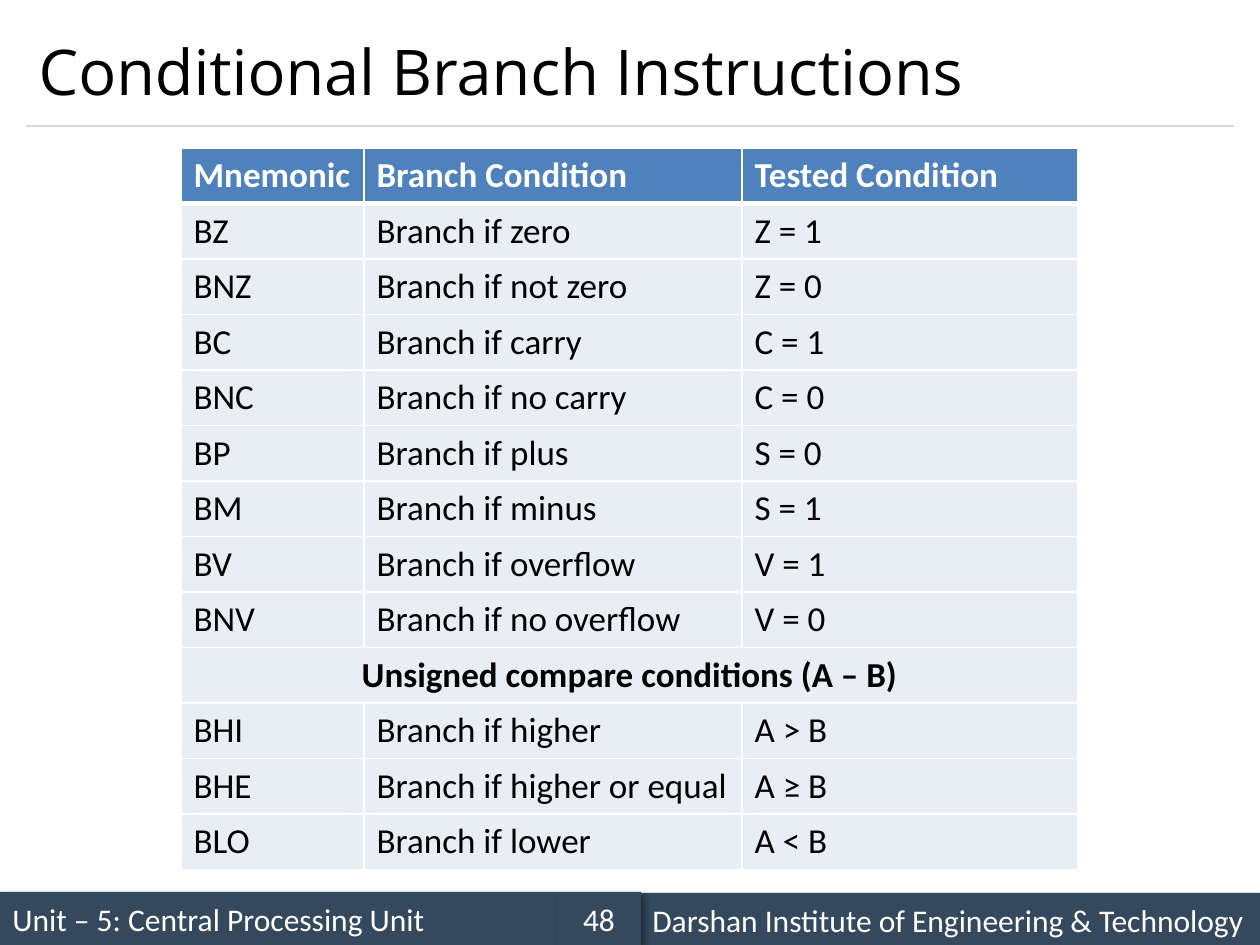
from lxml.etree import SubElement
from pptx import Presentation
from pptx.dml.color import RGBColor
from pptx.enum.shapes import MSO_CONNECTOR, MSO_SHAPE
from pptx.enum.text import MSO_ANCHOR, PP_ALIGN
from pptx.oxml import parse_xml
from pptx.oxml.ns import nsdecls, qn
from pptx.util import Emu, Pt

SCALE = 914400 / 126  # EMU per px


def px(n):
    return Emu(round(n * SCALE))


def style(p, size, color, font="Calibri", bold=False, align=PP_ALIGN.LEFT):
    p.alignment = align
    values = {"size": Pt(size), "name": font, "bold": bold}
    for r in p.runs:
        for name, value in values.items():
            setattr(r.font, name, value)
        r.font.color.rgb = RGBColor.from_string(color)


prs = Presentation()
prs.slide_width, prs.slide_height = px(1260), px(945)
s = prs.slides.add_slide(prs.slide_layouts[5])

# Title
title = s.shapes.title
title.left, title.top, title.width, title.height = px(26), px(15), px(1208), px(111)
tf = title.text_frame
tf.text = "Conditional Branch Instructions"
tf.vertical_anchor = MSO_ANCHOR.MIDDLE
style(tf.paragraphs[0], 36, "000000", "Open Sans")

# Rule under the title
rule = s.shapes.add_connector(MSO_CONNECTOR.STRAIGHT, px(26), px(126), px(1234), px(126))
rule.line.color.rgb = RGBColor.from_string("D9D9D9")
rule.line.width = Pt(0.75)
SubElement(rule._element.spPr, qn("a:effectLst"))

# Footer bars
SHADOW = (
    f'<a:effectLst {nsdecls("a")}><a:outerShdw blurRad="50800" dist="38100" dir="2700000"'
    ' algn="tl" rotWithShape="0"><a:srgbClr val="000000"><a:alpha val="40000"/></a:srgbClr>'
    "</a:outerShdw></a:effectLst>"
)
footer = [
    (0, 892, 557, "Unit – 5: Central Processing Unit", PP_ALIGN.LEFT),
    (640, 893, 620, "Darshan Institute of Engineering & Technology", PP_ALIGN.LEFT),
    (557, 892, 84, "48", PP_ALIGN.CENTER),
]
for left, top, width, text, align in footer:
    sp = s.shapes.add_shape(MSO_SHAPE.RECTANGLE, px(left), px(top), px(width), px(53))
    sp.fill.solid()
    sp.fill.fore_color.rgb = RGBColor.from_string("34495E")
    sp.line.fill.background()
    sp._element.spPr.append(parse_xml(SHADOW))
    tf = sp.text_frame
    tf.word_wrap = True
    tf.vertical_anchor = MSO_ANCHOR.MIDDLE
    tf.text = text
    style(tf.paragraphs[0], 18, "FFFFFF", align=align)

# Table of branch instructions
rows = [
    ("Mnemonic", "Branch Condition", "Tested Condition"),
    ("BZ", "Branch if zero", "Z = 1"),
    ("BNZ", "Branch if not zero", "Z = 0"),
    ("BC", "Branch if carry", "C = 1"),
    ("BNC", "Branch if no carry", "C = 0"),
    ("BP", "Branch if plus", "S = 0"),
    ("BM", "Branch if minus", "S = 1"),
    ("BV", "Branch if overflow", "V = 1"),
    ("BNV", "Branch if no overflow", "V = 0"),
    ("Unsigned compare conditions (A – B)", "", ""),
    ("BHI", "Branch if higher", "A > B"),
    ("BHE", "Branch if higher or equal", "A ≥ B"),
    ("BLO", "Branch if lower", "A < B"),
]
widths = [183, 378, 336]
ROW = 55
table = s.shapes.add_table(
    len(rows), len(widths), px(181), px(148), px(sum(widths)), px(ROW * len(rows))
).table
for column, width in zip(table.columns, widths):
    column.width = px(width)

for i, row in enumerate(rows):
    table.rows[i].height = px(ROW)
    header, section = i == 0, not row[1]
    if section:
        table.cell(i, 0).merge(table.cell(i, len(widths) - 1))
    for j, text in enumerate(row):
        cell = table.cell(i, j)
        # White borders, thicker below the header
        tcPr = cell._tc.get_or_add_tcPr()
        for side in ("lnL", "lnR", "lnT", "lnB"):
            thick = (i, side) in ((0, "lnB"), (1, "lnT"))
            ln = SubElement(tcPr, qn(f"a:{side}"), w=str(Pt(3 if thick else 1)))
            SubElement(SubElement(ln, qn("a:solidFill")), qn("a:srgbClr"), val="FFFFFF")
        cell.fill.solid()
        cell.fill.fore_color.rgb = RGBColor.from_string("4F81BD" if header else "E9EDF4")
        if text:
            cell.text = text
            style(cell.text_frame.paragraphs[0], 20, "FFFFFF" if header else "000000",
                  bold=header or section,
                  align=PP_ALIGN.CENTER if section else PP_ALIGN.LEFT)

prs.save("out.pptx")
